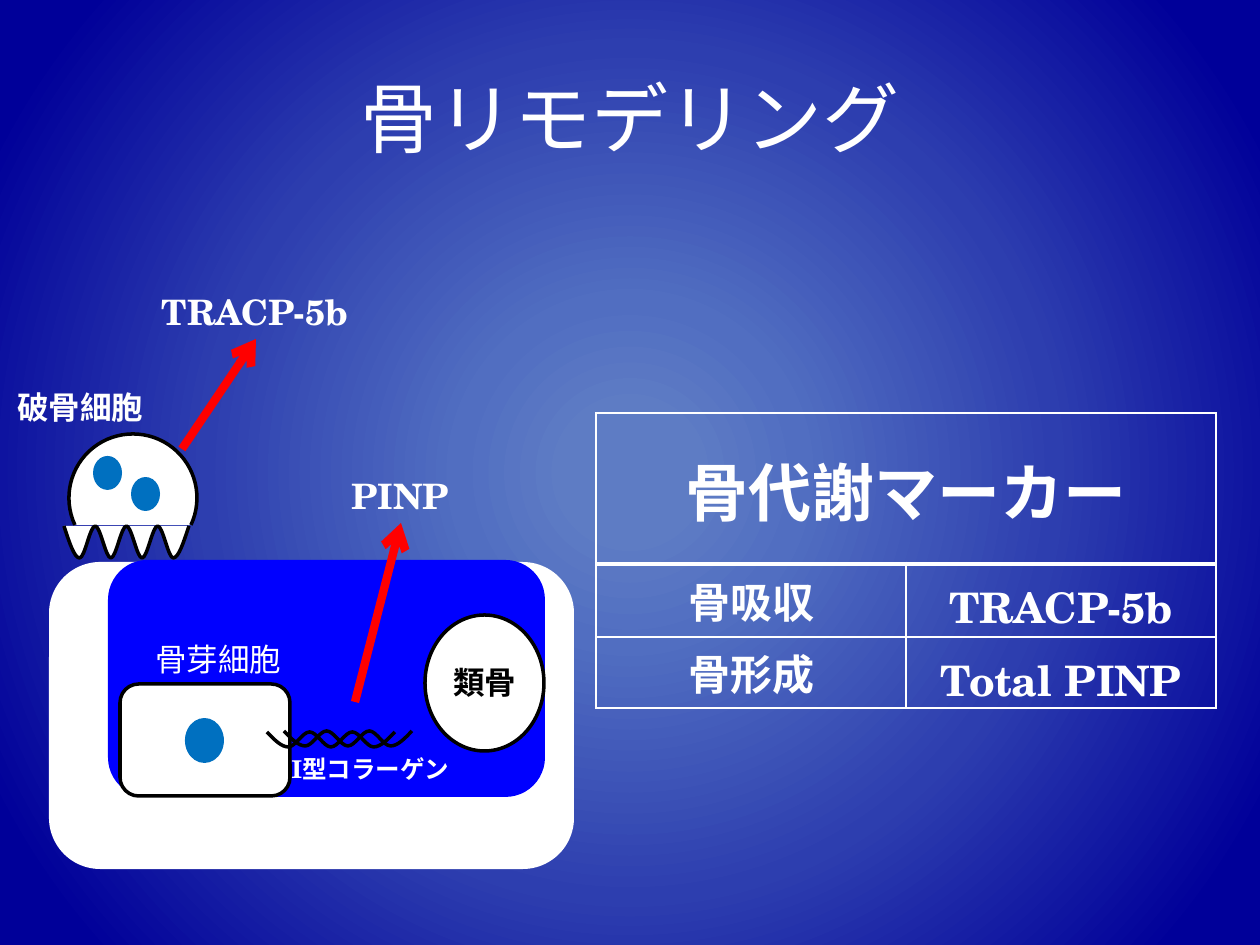
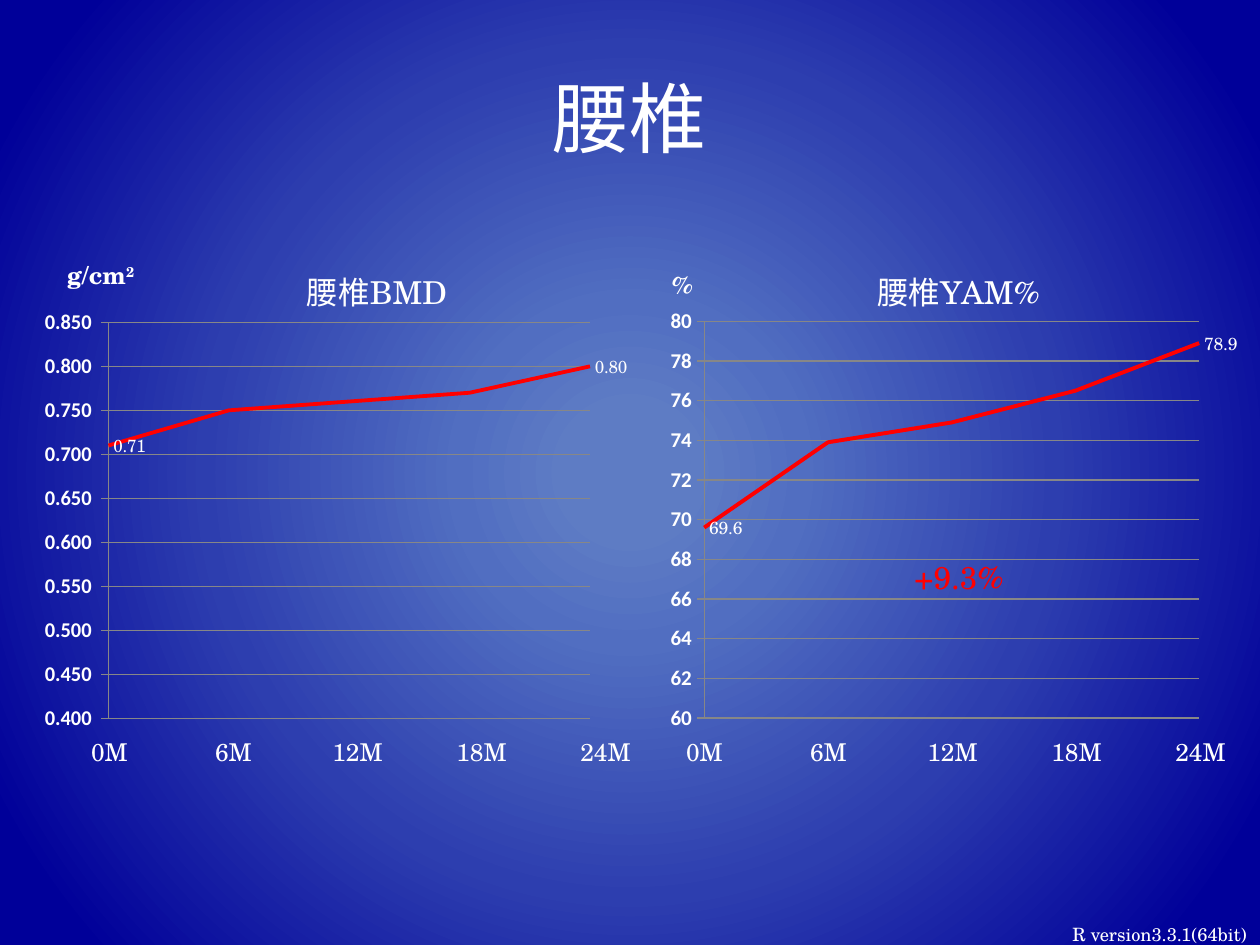
"""Two slides on bone remodeling markers and lumbar bone density."""
import math

from lxml import etree
from pptx import Presentation
from pptx import util as u
from pptx.chart.data import CategoryChartData
from pptx.dml.color import RGBColor
from pptx.enum import chart as ch, shapes, text
from pptx.oxml import parse_xml
from pptx.oxml.ns import nsdecls, qn

WHITE = RGBColor(0xFF, 0xFF, 0xFF)
BLACK = RGBColor(0, 0, 0)
RED = RGBColor(0xFF, 0, 0)
BLUE = RGBColor(0, 0, 0xFF)
NUCLEUS = RGBColor(0x00, 0x70, 0xC0)
GRID = RGBColor(0x87, 0x87, 0x87)
BACKDROP = [(8, "5E7CC4"), (22, "516EC1"), (54, "2D3EAF"), (91, "000099")]
FONT = "TeX Gyre Schola"
PX_PER_INCH = 126
LEFT, CENTER, RIGHT = text.PP_ALIGN.LEFT, text.PP_ALIGN.CENTER, text.PP_ALIGN.RIGHT
ROUND, OVAL = shapes.MSO_SHAPE.ROUNDED_RECTANGLE, shapes.MSO_SHAPE.OVAL

REMODELING_TITLE = "骨リモデリング"
BONE_PARTS = [
    (ROUND, (49, 562, 525, 307), WHITE, None),
    (ROUND, (108, 560, 437, 237), BLUE, None),
    (ROUND, (120, 684, 170, 112), WHITE, BLACK),
    (OVAL, (185, 718, 39, 45), NUCLEUS, None),
    (OVAL, (425, 615, 119, 136), WHITE, BLACK),
]
COLLAGEN_STRANDS = [(267, 732), (284, 731)]
OSTEOCLAST_CENTER, OSTEOCLAST_RADIUS = (133, 498), 64
OSTEOCLAST_NUCLEI = [(93, 456, 29, 34), (131, 477, 29, 34)]
RELEASES = [((182, 449), (256, 339)), ((355, 702), (401, 523))]
BONE_LABELS = [
    ("破骨細胞", (4, 382, 173, 50), 18, True, LEFT, WHITE),
    ("TRACP-5b", (138, 284, 234, 54), 20, True, CENTER, WHITE),
    ("骨芽細胞", (142, 634, 173, 50), 18, False, LEFT, WHITE),
    ("I型コラーゲン", (256, 748, 229, 42), 14, True, CENTER, WHITE),
    ("類骨", (435, 657, 100, 50), 18, True, CENTER, BLACK),
    ("PINP", (283, 468, 234, 54), 20, True, CENTER, WHITE),
]
MARKERS = [("骨代謝マーカー", ""), ("骨吸収", "TRACP-5b"), ("骨形成", "Total PINP")]
MARKER_BOX = (596, 413, 620, 295)
MARKER_ROWS = [151, 73, 71]

LUMBAR_TITLE = "腰椎"
MONTHS = ["0M", "6M", "12M", "18M", "24M"]
MONTH_STEP = 124
TRENDS = [
    dict(heading="腰椎BMD", heading_left=258, months_left=70,
         box=(6, 298, 626, 489), plot=(0.168, 0.05, 0.79, 0.81),
         values=[0.71, 0.75, 0.76, 0.77, 0.8], floor=0.4,
         axis_format=r"0.000_);[RED]\(0.000\)",
         label_format=r"#,##0.00_);[RED]\(#,##0.00\)"),
    dict(heading="腰椎YAM% ", heading_left=844, months_left=665,
         box=(659, 300, 595, 496), plot=(0.076, 0.043, 0.832, 0.8),
         values=[69.6, 73.9, 74.9, 76.5, 78.9], floor=60,
         axis_format="General",
         label_format=r"#,##0.0_);[RED]\(#,##0.0\)"),
]


def px(value):
    return u.Emu(round(value * 914400 / PX_PER_INCH))


def place(box):
    return [px(value) for value in box]


def style(font, size, color=WHITE, bold=False, name=FONT):
    font.name, font.size, font.bold = name, u.Pt(size), bold
    font.color.rgb = color


def add_label(slide, words, box, size, bold=False, align=CENTER, color=WHITE,
              anchor=text.MSO_ANCHOR.TOP):
    frame = slide.shapes.add_textbox(*place(box)).text_frame
    frame.word_wrap = True
    frame.vertical_anchor = anchor
    frame.margin_left = frame.margin_right = px(0 if align == CENTER else 13)
    paragraph = frame.paragraphs[0]
    paragraph.text = words
    paragraph.alignment = align
    style(paragraph.runs[0].font, size, color, bold)
    return paragraph


def add_slide(deck, title):
    slide = deck.slides.add_slide(deck.slide_layouts[6])
    stops = "".join(f'<a:gs pos="{pos * 1000}"><a:srgbClr val="{color}"/></a:gs>'
                    for pos, color in BACKDROP)
    slide.element.cSld.insert(0, parse_xml(
        f'<p:bg {nsdecls("p", "a")}><p:bgPr><a:gradFill rotWithShape="1">'
        f'<a:gsLst>{stops}</a:gsLst><a:path path="circle">'
        '<a:fillToRect l="50000" t="50000" r="50000" b="50000"/></a:path>'
        '</a:gradFill><a:effectLst/></p:bgPr></p:bg>'))
    add_label(slide, title, (63, 38, 1134, 157), 44, anchor=text.MSO_ANCHOR.MIDDLE)
    return slide


def paint(shape, fill, outline):
    shape.shadow.inherit = False
    if fill is None:
        shape.fill.background()
    else:
        shape.fill.solid()
        shape.fill.fore_color.rgb = fill
    if outline is None:
        shape.line.fill.background()
    else:
        shape.line.color.rgb = outline
        shape.line.width = u.Pt(2)


def add_part(slide, kind, box, fill, outline=None):
    paint(slide.shapes.add_shape(kind, *place(box)), fill, outline)


def add_curve(slide, points, fill=None):
    first, *rest = [place(point) for point in points]
    builder = slide.shapes.build_freeform(*first)
    builder.add_line_segments(rest, close=False)
    shape = builder.convert_to_shape()
    steps = list(shape._element.iter(qn("a:lnTo")))
    for i in range(0, len(steps), 3):
        bend = etree.Element(qn("a:cubicBezTo"))
        steps[i].addprevious(bend)
        for step in steps[i:i + 3]:
            bend.append(step[0])
            step.getparent().remove(step)
    paint(shape, fill, BLACK)


def wave(left, top, width, depth, halves):
    third = width / halves / 3
    levels = [top + depth * (i % 2) for i in range(halves + 1)]
    points = [(left, top)]
    for i in range(halves):
        x = left + 3 * third * i
        points += [(x + third, levels[i]), (x + 2 * third, levels[i + 1]),
                   (x + 3 * third, levels[i + 1])]
    middle = top + depth / 2
    points[1] = (points[1][0], middle)
    points[-2] = (points[-2][0], middle)
    return points


def dome(center, radius, start=155, sweep=230, bends=3):
    turn = math.radians(sweep / bends)
    handle = radius * 4 / 3 * math.tan(turn / 4)

    def on_arc(angle, offset):
        return (center[0] + radius * math.cos(angle) - offset * math.sin(angle),
                center[1] + radius * math.sin(angle) + offset * math.cos(angle))

    angles = [math.radians(start) + turn * i for i in range(bends + 1)]
    points = [on_arc(angles[0], 0)]
    for here, there in zip(angles, angles[1:]):
        points += [on_arc(here, handle), on_arc(there, -handle), on_arc(there, 0)]
    return points


def add_release(slide, start, end):
    arrow = slide.shapes.add_connector(shapes.MSO_CONNECTOR.STRAIGHT,
                                       *place(start + end))
    arrow.line.color.rgb = RED
    arrow.line.width = u.Pt(4.75)
    properties = arrow._element.spPr
    etree.SubElement(properties.find(qn("a:ln")), qn("a:tailEnd"), type="arrow")
    etree.SubElement(properties, qn("a:effectLst"))


def set_borders(cell, top, bottom):
    widths = {"L": 0.96, "R": 0.96, "T": top, "B": bottom}
    for index, (side, width) in enumerate(widths.items()):
        cell._tc.get_or_add_tcPr().insert(index, parse_xml(
            f'<a:ln{side} {nsdecls("a")} w="{u.Pt(width)}"><a:solidFill>'
            f'<a:srgbClr val="{WHITE}"/></a:solidFill></a:ln{side}>'))


def add_markers(slide):
    table = slide.shapes.add_table(len(MARKERS), 2, *place(MARKER_BOX)).table
    table.first_row = table.horz_banding = False
    for r, row in enumerate(MARKERS):
        table.rows[r].height = px(MARKER_ROWS[r])
        for c, words in enumerate(row):
            cell = table.cell(r, c)
            cell.fill.background()
            cell.vertical_anchor = text.MSO_ANCHOR.MIDDLE
            cell.margin_top = cell.margin_bottom = px(0 if r and c else 4)
            set_borders(cell, 3 if r == 1 else 0.96, 3 if r == 0 else 0.96)
            paragraph = cell.text_frame.paragraphs[0]
            paragraph.text = words
            paragraph.alignment = CENTER
            for run in paragraph.runs:
                style(run.font, 24 if r else 36, bold=True)
            if r and c:
                paragraph.line_spacing = 1.15
    table.cell(0, 0).merge(table.cell(0, 1))


def set_plot(chart, plot):
    area = chart._chartSpace.chart.plotArea
    for stale in area.findall(qn("c:layout")):
        area.remove(stale)
    sizes = "".join(f'<c:{key} val="{value}"/>' for key, value in zip("xywh", plot))
    area.insert(0, parse_xml(
        f'<c:layout {nsdecls("c")}><c:manualLayout><c:layoutTarget val="inner"/>'
        f'<c:xMode val="edge"/><c:yMode val="edge"/>{sizes}'
        '</c:manualLayout></c:layout>'))


def start_line_on_axis(axis):
    element = axis._element
    for stale in element.findall(qn("c:crossBetween")):
        element.remove(stale)
    element.find(qn("c:crosses")).addnext(
        parse_xml(f'<c:crossBetween {nsdecls("c")} val="midCat"/>'))


def add_trend(slide, trend):
    data = CategoryChartData()
    data.categories = [str(n + 1) for n in range(len(MONTHS))]
    data.add_series("Series 1", trend["values"])
    chart = slide.shapes.add_chart(ch.XL_CHART_TYPE.LINE, *place(trend["box"]),
                                   data).chart
    chart.has_legend = chart.has_title = False
    style(chart.font, 10, BLACK, name="Arial")
    chart.plots[0].vary_by_categories = False
    chart.category_axis.visible = False
    set_plot(chart, trend["plot"])

    axis = chart.value_axis
    start_line_on_axis(axis)
    axis.minimum_scale = trend["floor"]
    axis.major_tick_mark = ch.XL_TICK_MARK.OUTSIDE
    axis.has_major_gridlines = True
    for line in (axis.format.line, axis.major_gridlines.format.line):
        line.color.rgb = GRID
        line.width = u.Pt(0.75)
    axis.tick_labels.number_format = trend["axis_format"]
    axis.tick_labels.number_format_is_linked = False
    style(axis.tick_labels.font, 12, bold=True, name="Calibri")

    series = chart.plots[0].series[0]
    series.smooth = False
    series.marker.style = ch.XL_MARKER_STYLE.NONE
    series.format.line.color.rgb = RED
    series.format.line.width = u.Pt(2.25)
    series.data_labels.show_value = False
    for index in (0, len(MONTHS) - 1):
        label = series.points[index].data_label
        style(label.font, 10)
        label.position = ch.XL_LABEL_POSITION.RIGHT
    for element in series._element.iter(qn("c:dLbl")):
        element.insert(1, parse_xml(
            f'<c:numFmt {nsdecls("c")} formatCode="{trend["label_format"]}" '
            'sourceLinked="0"/>'))


def build_remodeling(deck):
    slide = add_slide(deck, REMODELING_TITLE)
    for part in BONE_PARTS:
        add_part(slide, *part)
    for left, top in COLLAGEN_STRANDS:
        add_curve(slide, wave(left, top, 128, 15, 6))
    add_curve(slide, dome(OSTEOCLAST_CENTER, OSTEOCLAST_RADIUS), WHITE)
    add_curve(slide, wave(64, 526, 125, 32, 8), WHITE)
    for nucleus in OSTEOCLAST_NUCLEI:
        add_part(slide, OVAL, nucleus, NUCLEUS)
    for start, end in RELEASES:
        add_release(slide, start, end)
    for label in BONE_LABELS:
        add_label(slide, *label)
    add_markers(slide)


def build_lumbar(deck):
    slide = add_slide(deck, LUMBAR_TITLE)
    for trend in TRENDS:
        add_trend(slide, trend)
        add_label(slide, trend["heading"], (trend["heading_left"], 267, 238, 50), 18)
        for i, month in enumerate(MONTHS):
            left = trend["months_left"] + MONTH_STEP * i
            add_label(slide, month, (left, 731, 79, 42), 14)
    density_unit = add_label(slide, "g/cm", (54, 254, 115, 42), 14, True, LEFT)
    square = density_unit.add_run()
    square.text = "2"
    style(square.font, 14, bold=True)
    square._r.get_or_add_rPr().set("baseline", "30000")
    add_label(slide, "%", (659, 264, 92, 42), 14, True, LEFT)
    add_label(slide, "+9.3%", (836, 552, 246, 50), 18, color=RED)
    add_label(slide, "R version3.3.1(64bit)", (893, 917, 367, 34), 10.5,
              align=RIGHT, anchor=text.MSO_ANCHOR.BOTTOM)


def main():
    deck = Presentation()
    deck.slide_width, deck.slide_height = place((1260, 945))
    build_remodeling(deck)
    build_lumbar(deck)
    deck.save("out.pptx")


if __name__ == "__main__":
    main()
